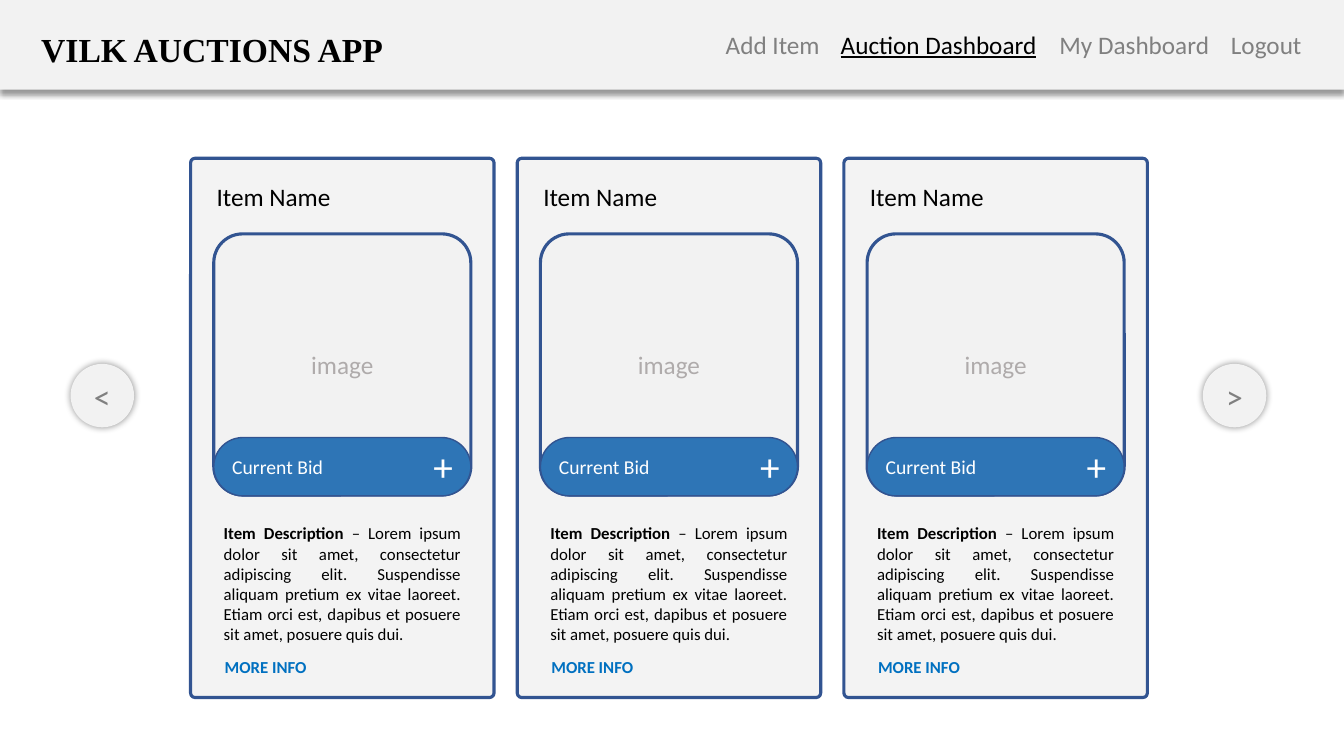
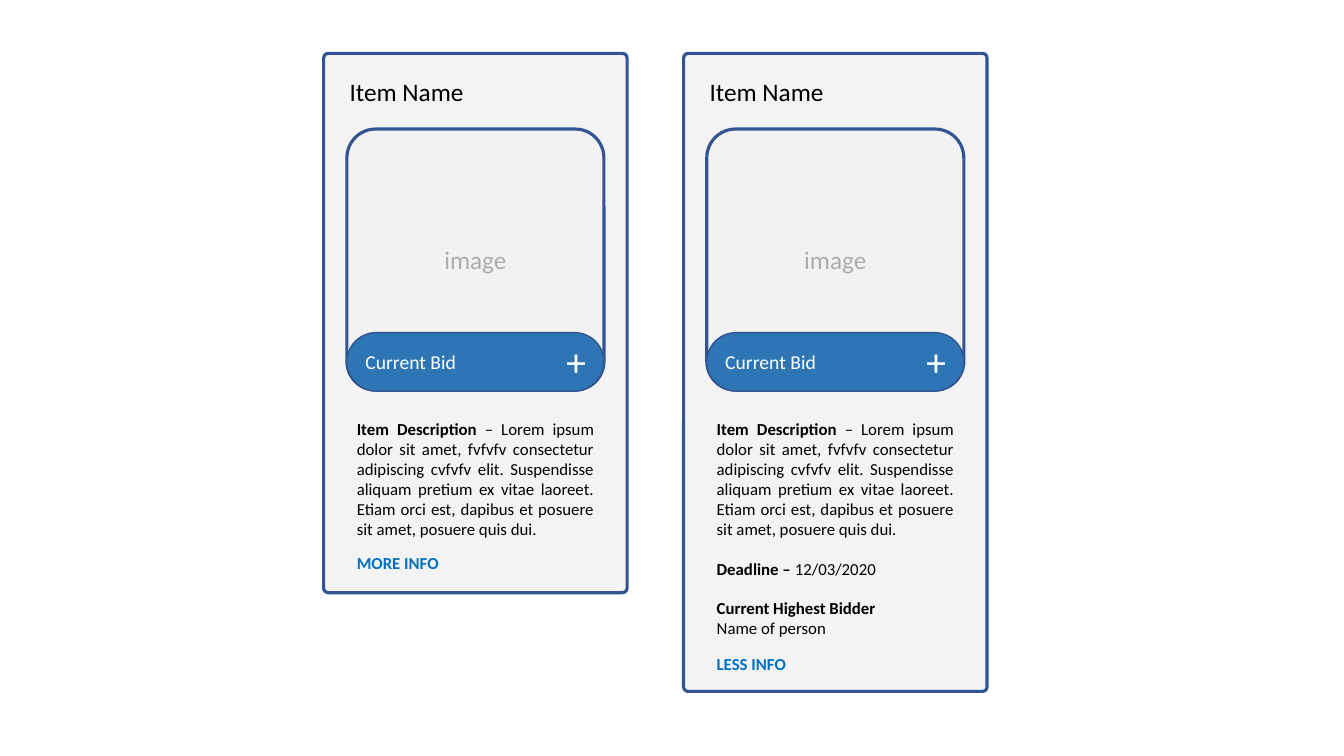
import lxml.etree
import pptx
import pptx.dml.color
import pptx.enum.shapes
import pptx.enum.text
import pptx.oxml.ns
import pptx.util

PX = 9144
SLIDE_WIDTH, SLIDE_HEIGHT = 1333, 750
GREY_FILL, CARD_FILL = "F2F2F2", "F3F3F3"
OUTLINE, BID_FILL, LINK = "325491", "2E75B6", "0070C0"
BLACK, WHITE, GREY, PALE_GREY = "000000", "FFFFFF", "808080", "AFABAB"
CARD_WIDTH, CARD_HEIGHT, CARD_STEP = 301, 535, 324
INNER_WIDTH = 255

color = pptx.dml.color.RGBColor.from_string
qn = pptx.oxml.ns.qn
SHAPE = pptx.enum.shapes.MSO_SHAPE
ALIGN = pptx.enum.text.PP_ALIGN


def add_box(slide, box, kind, fill, outline=None, weight=0, rounding=None, shadow=None):
    shape = slide.shapes.add_shape(kind, *[length * PX for length in box])
    shape.fill.solid()
    shape.fill.fore_color.rgb = color(fill)
    if outline:
        shape.line.color.rgb = color(outline)
        shape.line.width = pptx.util.Pt(weight)
    else:
        shape.line.fill.background()
    if rounding:
        shape.adjustments[0] = rounding
    shape.shadow.inherit = False
    if shadow:
        blur, distance, degrees = shadow
        effects = shape._element.spPr.find(qn("a:effectLst"))
        outer = lxml.etree.SubElement(
            effects, qn("a:outerShdw"), blurRad=str(pptx.util.Pt(blur)),
            dist=str(pptx.util.Pt(distance)), dir=str(degrees * 60000), rotWithShape="0")
        tint = lxml.etree.SubElement(outer, qn("a:srgbClr"), val=BLACK)
        lxml.etree.SubElement(tint, qn("a:alpha"), val="40000")
    return shape


def add_text(slide, target, lines, size, tone, align=ALIGN.LEFT, wrap=False,
             font="Calibri", bold=False, underline=False):
    if isinstance(target, tuple):
        frame = slide.shapes.add_textbox(*[length * PX for length in target]).text_frame
        frame.word_wrap = wrap
        frame.auto_size = pptx.enum.text.MSO_AUTO_SIZE.SHAPE_TO_FIT_TEXT
    else:
        frame = target.text_frame
        frame.vertical_anchor = pptx.enum.text.MSO_ANCHOR.MIDDLE
    for index, (strong, plain) in enumerate(lines):
        paragraph = frame.add_paragraph() if index else frame.paragraphs[0]
        paragraph.alignment = align
        paragraph.font.name = font
        paragraph.font.size = pptx.util.Pt(size)
        paragraph.font.color.rgb = color(tone)
        paragraph.font.bold = bold
        paragraph.font.underline = underline
        if strong:
            run = paragraph.add_run()
            run.text = strong
            run.font.bold = True
        if plain:
            paragraph.add_run().text = plain


presentation = pptx.Presentation()
presentation.slide_width = SLIDE_WIDTH * PX
presentation.slide_height = SLIDE_HEIGHT * PX
blank = presentation.slide_layouts[6]
dashboard = presentation.slides.add_slide(blank)
details = presentation.slides.add_slide(blank)

add_box(dashboard, (0, 0, SLIDE_WIDTH, 89), SHAPE.RECTANGLE, GREY_FILL, shadow=(4, 3, 90))
add_text(dashboard, (31, 24, 365, 50), [("", "VILK AUCTIONS APP")], 24, BLACK,
         font="Times New Roman", bold=True)

menu_left = 710
for label, width in (("Add Item", 114), ("Auction Dashboard", 217),
                     ("My Dashboard", 170), ("Logout", 91)):
    current = label == "Auction Dashboard"
    add_text(dashboard, (menu_left, 24, width, 40), [("", label)], 18,
             BLACK if current else GREY, underline=current)
    menu_left += width

short_text = (
    "– Lorem ipsum dolor sit amet, consectetur adipiscing elit. Suspendisse aliquam "
    "pretium ex vitae laoreet. Etiam orci est, dapibus et posuere sit amet, posuere quis dui.")
long_text = short_text.replace("consectetur adipiscing", "fvfvfv consectetur adipiscing cvfvfv")

cards = [(dashboard, 189 + CARD_STEP * column, 157, CARD_HEIGHT, short_text,
          "MORE INFO", 102, 490, ALIGN.RIGHT) for column in range(3)]
cards += [(details, 321, 53, CARD_HEIGHT, long_text, "MORE INFO", 102, 490, ALIGN.LEFT),
          (details, 678, 53, 633, long_text, "LESS INFO", 90, 591, ALIGN.LEFT)]

for slide, left, top, height, description, link, link_width, link_top, link_align in cards:
    inner = left + 23
    add_box(slide, (left, top, CARD_WIDTH, height), SHAPE.ROUNDED_RECTANGLE,
            CARD_FILL, OUTLINE, 2.25, 0.015)
    add_text(slide, (left + 16, top + 18, 134, 40), [("", "Item Name")], 18, BLACK)
    image = add_box(slide, (inner, top + 75, INNER_WIDTH, 259), SHAPE.ROUNDED_RECTANGLE,
                    GREY_FILL, OUTLINE, 2.25, 0.112)
    add_text(slide, image, [("", "image")], 18, PALE_GREY, ALIGN.CENTER)
    add_text(slide, (inner, top + 357, INNER_WIDTH, 131),
             [("Item Description ", description)], 12, BLACK, ALIGN.JUSTIFY, wrap=True)
    bid = add_box(slide, (inner, top + 277, INNER_WIDTH, 58), SHAPE.ROUNDED_RECTANGLE,
                  BID_FILL, OUTLINE, 1, 0.5)
    add_text(slide, bid, [("", "Current Bid")], 14, WHITE)
    add_text(slide, (left + 231, top + 277, 40, 57), [("", "+")], 28, WHITE)
    add_text(slide, (inner, top + link_top, link_width, 30), [("", link)], 12, LINK,
             link_align, bold=True)

for left, arrow in ((70, "<"), (1193, ">")):
    button = add_box(dashboard, (left, 361, 63, 63), SHAPE.OVAL, GREY_FILL, shadow=(5, 0, 0))
    add_text(dashboard, button, [("", arrow)], 24, GREY, ALIGN.CENTER)

for top, height, lines in (
        (549, 30, [("Deadline – ", "12/03/2020")]),
        (588, 50, [("Current Highest Bidder", ""), ("", "Name of person")])):
    add_text(details, (701, top, INNER_WIDTH, height), lines, 12, BLACK, ALIGN.JUSTIFY, wrap=True)

presentation.save("out.pptx")
